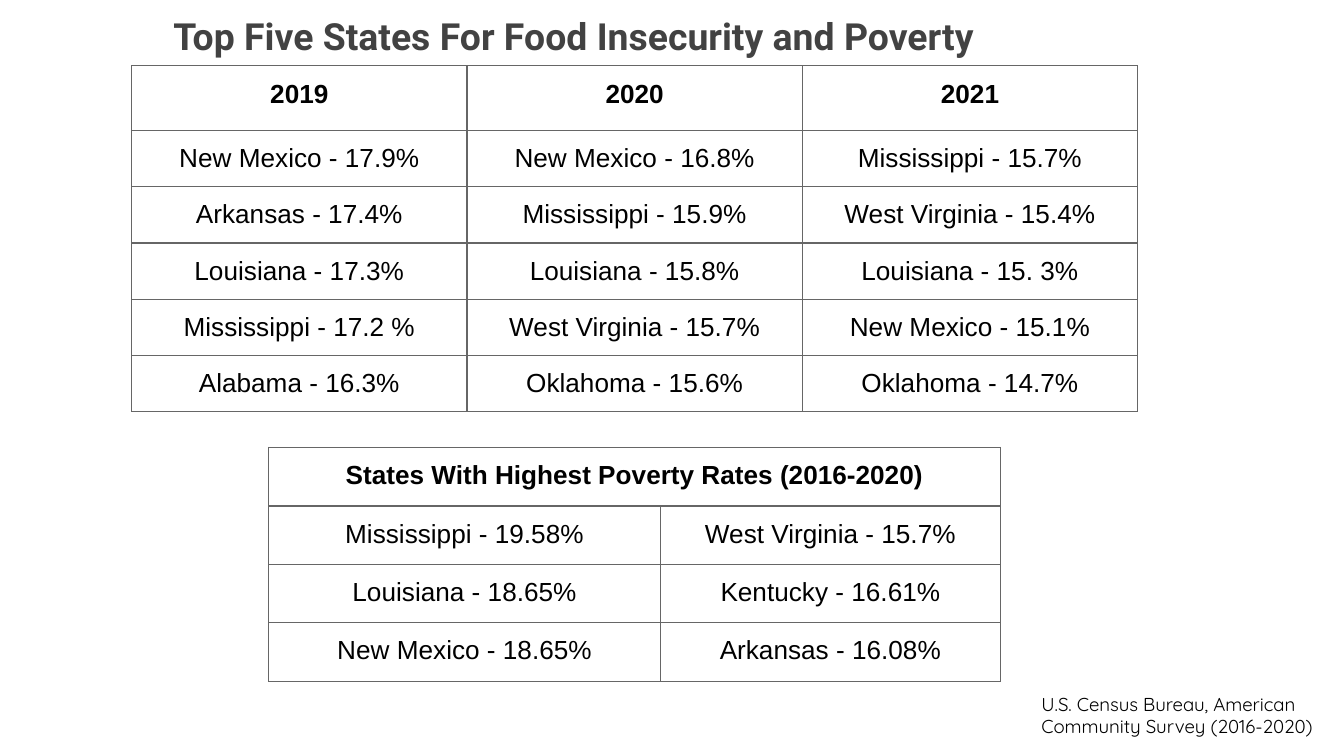
"""Build a slide with two tables of state food insecurity and poverty rates."""

import dataclasses
import typing

import lxml.etree
import pptx
import pptx.dml.color
import pptx.enum.text
import pptx.oxml.ns
import pptx.slide
import pptx.text.text
import pptx.util

EMU_PER_PX = 4572


@dataclasses.dataclass(frozen=True)
class Theme:
    title_color: str = "424242"
    text_color: str = "000000"
    border_color: str = "666666"
    background_color: str = "FFFFFF"
    title_font: str = "Roboto"
    table_font: str = "Arial"
    source_font: str = "Quicksand"
    title_size: int = 20
    table_size: int = 14
    source_size: int = 10
    border_width: float = 0.75
    inset: int = 20


@dataclasses.dataclass(frozen=True)
class Box:
    left: int
    top: int
    width: int
    height: int


@dataclasses.dataclass(frozen=True)
class RateTable:
    left: int
    top: int
    columns: tuple[int, ...]
    heights: tuple[int, ...]
    rows: tuple[tuple[str, ...], ...]
    starts: tuple[tuple[int, ...], ...]


THEME = Theme()
TITLE_BOX = Box(238, 0, 1538, 124)
SOURCE_BOX = Box(1530, 1011, 470, 148)

FOOD_INSECURITY = RateTable(
    left=196,
    top=98,
    columns=(499,) * 3,
    heights=(96,) + (74,) * 5,
    rows=(
        ("2019", "2020", "2021"),
        ("New Mexico - 17.9%", "New Mexico - 16.8%", "Mississippi - 15.7%"),
        ("Arkansas - 17.4%", "Mississippi - 15.9%", "West Virginia - 15.4%"),
        ("Louisiana - 17.3%", "Louisiana - 15.8%", "Louisiana - 15. 3%"),
        ("Mississippi - 17.2 %", "West Virginia - 15.7%", "New Mexico - 15.1%"),
        ("Alabama - 16.3%", "Oklahoma - 15.6%", "Oklahoma - 14.7%"),
    ),
    starts=((0, 1, 2),) * 6,
)
POVERTY = RateTable(
    left=400,
    top=666,
    columns=(198, 301, 84, 506),
    heights=(87,) * 4,
    rows=(
        ("States With Highest Poverty Rates (2016-2020)",),
        ("Mississippi - 19.58%", "West Virginia - 15.7%"),
        ("Louisiana - 18.65%", "Kentucky - 16.61%"),
        ("New Mexico - 18.65%", "Arkansas - 16.08%"),
    ),
    starts=((0,),) + ((0, 3),) * 3,
)


def px(length: int) -> pptx.util.Emu:
    """Convert px to EMU."""
    return pptx.util.Emu(length * EMU_PER_PX)


def rgb(color: str) -> pptx.dml.color.RGBColor:
    """Convert a hex string to a colour."""
    return pptx.dml.color.RGBColor.from_string(color)


def set_insets(target: typing.Any) -> None:
    """Give a cell or text frame equal insets."""
    for side in ("left", "top", "right", "bottom"):
        setattr(target, f"margin_{side}", px(THEME.inset))


def add_text(paragraph: pptx.text.text._Paragraph, text: str, font: str,
             size: int, color: str, bold: bool = False) -> None:
    """Add one formatted run to a paragraph."""
    run = paragraph.add_run()
    run.text = text
    run.font.name = font
    run.font.size = pptx.util.Pt(size)
    run.font.color.rgb = rgb(color)
    run.font.bold = bold


def prepare_frame(shape: typing.Any, box: Box) -> pptx.text.text._Paragraph:
    """Place a text shape and return its first paragraph."""
    shape.left, shape.top = px(box.left), px(box.top)
    shape.width, shape.height = px(box.width), px(box.height)
    frame = shape.text_frame
    frame.word_wrap = True
    frame.auto_size = pptx.enum.text.MSO_AUTO_SIZE.NONE
    frame.vertical_anchor = pptx.enum.text.MSO_ANCHOR.TOP
    set_insets(frame)
    paragraph = frame.paragraphs[0]
    paragraph.alignment = pptx.enum.text.PP_ALIGN.LEFT
    return paragraph


def format_cell(cell: typing.Any) -> None:
    """Give a cell its borders, clear fill and insets."""
    set_insets(cell)
    properties = cell._tc.get_or_add_tcPr()
    qn = pptx.oxml.ns.qn
    for side in ("L", "R", "T", "B"):
        line = lxml.etree.SubElement(properties, qn(f"a:ln{side}"))
        line.set("w", str(pptx.util.Pt(THEME.border_width)))
        fill = lxml.etree.SubElement(line, qn("a:solidFill"))
        lxml.etree.SubElement(fill, qn("a:srgbClr")).set("val", THEME.border_color)
    cell.fill.background()


def draw_table(slide: pptx.slide.Slide, content: RateTable) -> None:
    """Draw a bordered table whose cells start at the given columns."""
    count = len(content.columns)
    table = slide.shapes.add_table(
        len(content.rows), count, px(content.left), px(content.top),
        px(sum(content.columns)), px(sum(content.heights))).table
    table.first_row = table.horz_banding = False
    for column, width in zip(table.columns, content.columns):
        column.width = px(width)
    for row, height in zip(table.rows, content.heights):
        row.height = px(height)
    for cell in table.iter_cells():
        format_cell(cell)
    for index, (texts, starts) in enumerate(zip(content.rows, content.starts)):
        for text, start, end in zip(texts, starts, starts[1:] + (count,)):
            cell = table.cell(index, start)
            if end - start > 1:
                cell.merge(table.cell(index, end - 1))
            paragraph = cell.text_frame.paragraphs[0]
            paragraph.alignment = pptx.enum.text.PP_ALIGN.CENTER
            add_text(paragraph, text, THEME.table_font, THEME.table_size,
                     THEME.text_color, bold=index == 0)


def main() -> None:
    """Build and save the presentation."""
    presentation = pptx.Presentation()
    presentation.slide_width, presentation.slide_height = px(2000), px(1125)
    slide = presentation.slides.add_slide(presentation.slide_layouts[5])
    slide.background.fill.solid()
    slide.background.fill.fore_color.rgb = rgb(THEME.background_color)
    title = prepare_frame(slide.shapes.title, TITLE_BOX)
    add_text(title, "Top Five States For Food Insecurity and Poverty",
             THEME.title_font, THEME.title_size, THEME.title_color, bold=True)
    for content in (FOOD_INSECURITY, POVERTY):
        draw_table(slide, content)
    source = prepare_frame(slide.shapes.add_textbox(0, 0, 0, 0), SOURCE_BOX)
    add_text(source, "U.S. Census Bureau, American Community Survey (2016-2020)",
             THEME.source_font, THEME.source_size, THEME.text_color)
    presentation.save("out.pptx")


if __name__ == "__main__":
    main()
